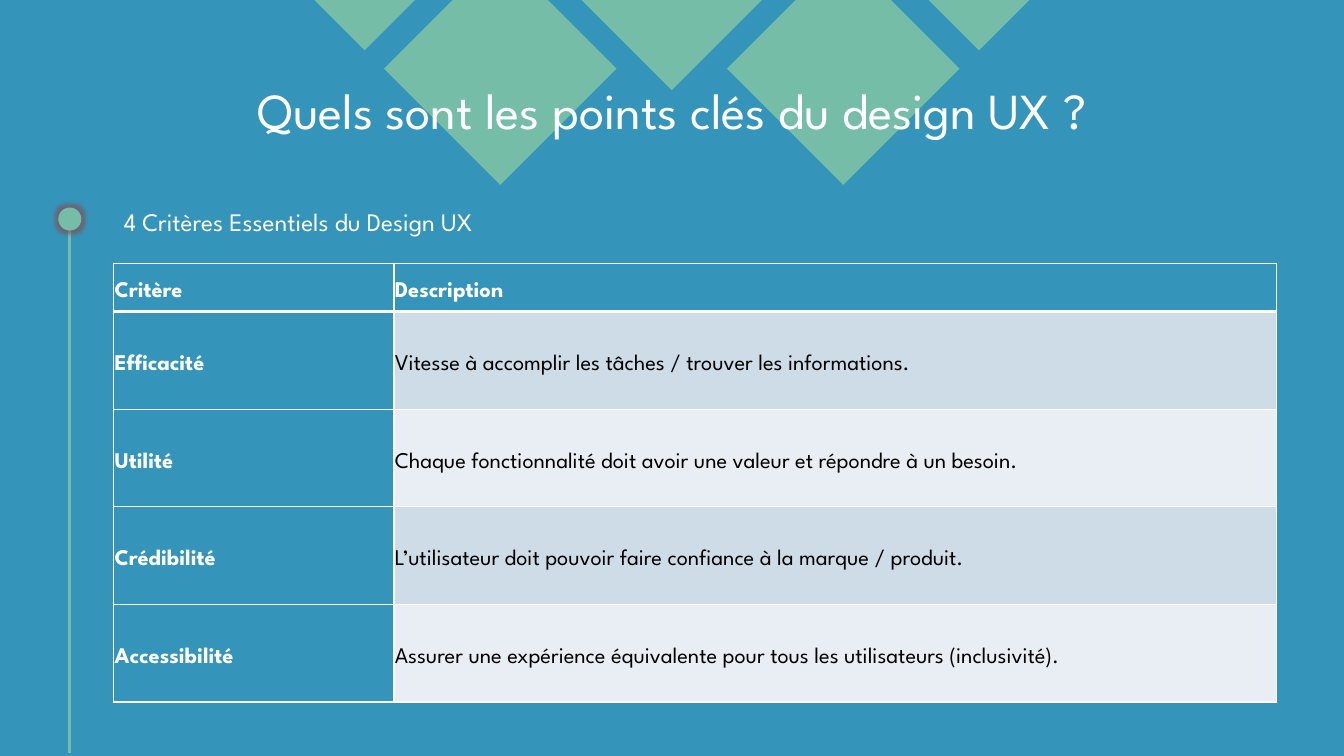
from lxml.etree import SubElement
from pptx import Presentation
from pptx.dml.color import RGBColor
from pptx.enum.shapes import MSO_CONNECTOR as Connector, MSO_SHAPE as Shape
from pptx.enum.text import MSO_ANCHOR as Anchor, PP_ALIGN as Align
from pptx.oxml import parse_xml
from pptx.oxml.ns import nsdecls, qn
from pptx.util import Cm, Pt

FONT = "League Spartan"
COLORS = {
    "blue": "3494BA", "green": "75BDA7", "white": "FFFFFF", "black": "000000",
    "odd_row": "CEDCE7", "even_row": "E8EEF3", "halo": "8A4B50",
}
TITLE = "Quels sont les points clés du design UX ?"
SUBTITLE = "4 Critères Essentiels du Design UX"
CRITERIA = [
    ("Critère", "Description"),
    ("Efficacité", "Vitesse à accomplir les tâches / trouver les informations."),
    ("Utilité", "Chaque fonctionnalité doit avoir une valeur et répondre à un besoin."),
    ("Crédibilité", "L’utilisateur doit pouvoir faire confiance à la marque / produit."),
    ("Accessibilité", "Assurer une expérience équivalente pour tous les utilisateurs (inclusivité)."),
]
# Diamonds: offset from the slide's middle, height of the centre, half diagonal (cm)
DIAMONDS = [(0, 0, 2.27), (4.32, 1.73, 2.93), (-4.32, 1.73, 2.93),
            (-7.74, 0, 1.27), (7.74, 0, 1.27)]
MIDDLE = 16.93
COLUMN_WIDTHS = (7.06, 22.23)
HEADER_HEIGHT, ROW_HEIGHT = 1.22, 2.46
TIMELINE_X, DOT_SIZE = 1.76, 0.58


def color(name):
    return RGBColor.from_string(COLORS[name])


def paint(shape, name):
    shape.shadow.inherit = False
    shape.fill.solid()
    shape.fill.fore_color.rgb = color(name)
    shape.line.fill.background()


def write(frame, text, size, ink="white", bold=False):
    para = frame.paragraphs[0]
    para.text = text
    font = para.font
    font.name, font.size, font.bold = FONT, Pt(size), bold
    font.color.rgb = color(ink)
    return para


def add_diamond(page, offset, center_y, half):
    """Draw a diamond cut off by the top edge of the slide."""
    x, top = MIDDLE + offset, half - center_y
    corners = [(x - top, 0), (x + top, 0), (x + half, center_y),
               (x, center_y + half), (x - half, center_y)]
    points = [(Cm(px), Cm(py)) for px, py in dict.fromkeys(corners)]
    builder = page.shapes.build_freeform(*points[0])
    builder.add_line_segments(points[1:], close=True)
    paint(builder.convert_to_shape(), "green")


def add_timeline(page):
    line = page.shapes.add_connector(
        Connector.STRAIGHT, Cm(TIMELINE_X), Cm(5.46), Cm(TIMELINE_X), Cm(18.97))
    line.line.color.rgb = color("green")
    line.line.width = Pt(2.25)
    SubElement(line._element.spPr, qn("a:effectLst"))
    dot = page.shapes.add_shape(
        Shape.OVAL, Cm(TIMELINE_X - DOT_SIZE / 2), Cm(5.23), Cm(DOT_SIZE), Cm(DOT_SIZE))
    paint(dot, "green")
    dot._element.spPr.find(qn("a:effectLst")).append(parse_xml(
        f'<a:glow {nsdecls("a")} rad="63500"><a:srgbClr val="{COLORS["halo"]}">'
        '<a:alpha val="60000"/></a:srgbClr></a:glow>'))


def set_borders(cell, widths):
    properties = cell._tc.get_or_add_tcPr()
    for index, (side, width) in enumerate(zip("LRTB", widths)):
        properties.insert(index, parse_xml(
            f'<a:ln{side} {nsdecls("a")} w="{Pt(width)}"><a:solidFill>'
            f'<a:srgbClr val="{COLORS["white"]}"/></a:solidFill></a:ln{side}>'))


def add_criteria_table(page):
    height = HEADER_HEIGHT + ROW_HEIGHT * (len(CRITERIA) - 1)
    table = page.shapes.add_table(
        len(CRITERIA), len(COLUMN_WIDTHS), Cm(2.87), Cm(6.63),
        Cm(sum(COLUMN_WIDTHS)), Cm(height)).table
    for column, width in zip(table.columns, COLUMN_WIDTHS):
        column.width = Cm(width)
    table.first_col = True
    for r, texts in enumerate(CRITERIA):
        table.rows[r].height = Cm(ROW_HEIGHT if r else HEADER_HEIGHT)
        for c, text in enumerate(texts):
            cell = table.cell(r, c)
            heading = r == 0 or c == 0
            para = write(cell.text_frame, text, 16, "white" if heading else "black", heading)
            para.line_spacing, para.space_after = 1.48, Pt(8)
            cell.vertical_anchor = Anchor.MIDDLE
            cell.margin_left = cell.margin_right = Cm(0.02)
            cell.margin_top = cell.margin_bottom = Cm(0.02)
            cell.fill.solid()
            band = "odd_row" if r % 2 else "even_row"
            cell.fill.fore_color.rgb = color("blue" if heading else band)
            set_borders(cell, (1, 1, 3 if r == 1 else 1, 1 if r else 3))


def main():
    deck = Presentation()
    deck.slide_width, deck.slide_height = Cm(33.87), Cm(19.05)
    page = deck.slides.add_slide(deck.slide_layouts[5])
    page.background.fill.solid()
    page.background.fill.fore_color.rgb = color("blue")

    for diamond in DIAMONDS:
        add_diamond(page, *diamond)
    add_timeline(page)

    title = page.shapes.title
    title.left, title.top, title.width, title.height = Cm(0.58), Cm(1.02), Cm(32.72), Cm(3.68)
    title.text_frame.vertical_anchor = Anchor.MIDDLE
    para = write(title.text_frame, TITLE, 36)
    para.alignment, para.line_spacing = Align.CENTER, 0.9
    page.shapes._spTree.append(title._element)  # in front of the diamonds

    box = page.shapes.add_textbox(Cm(2.87), Cm(5.08), Cm(14.1), Cm(1.35))
    box.text_frame.word_wrap = True
    write(box.text_frame, SUBTITLE, 18)
    add_criteria_table(page)
    deck.save("out.pptx")


if __name__ == "__main__":
    main()
